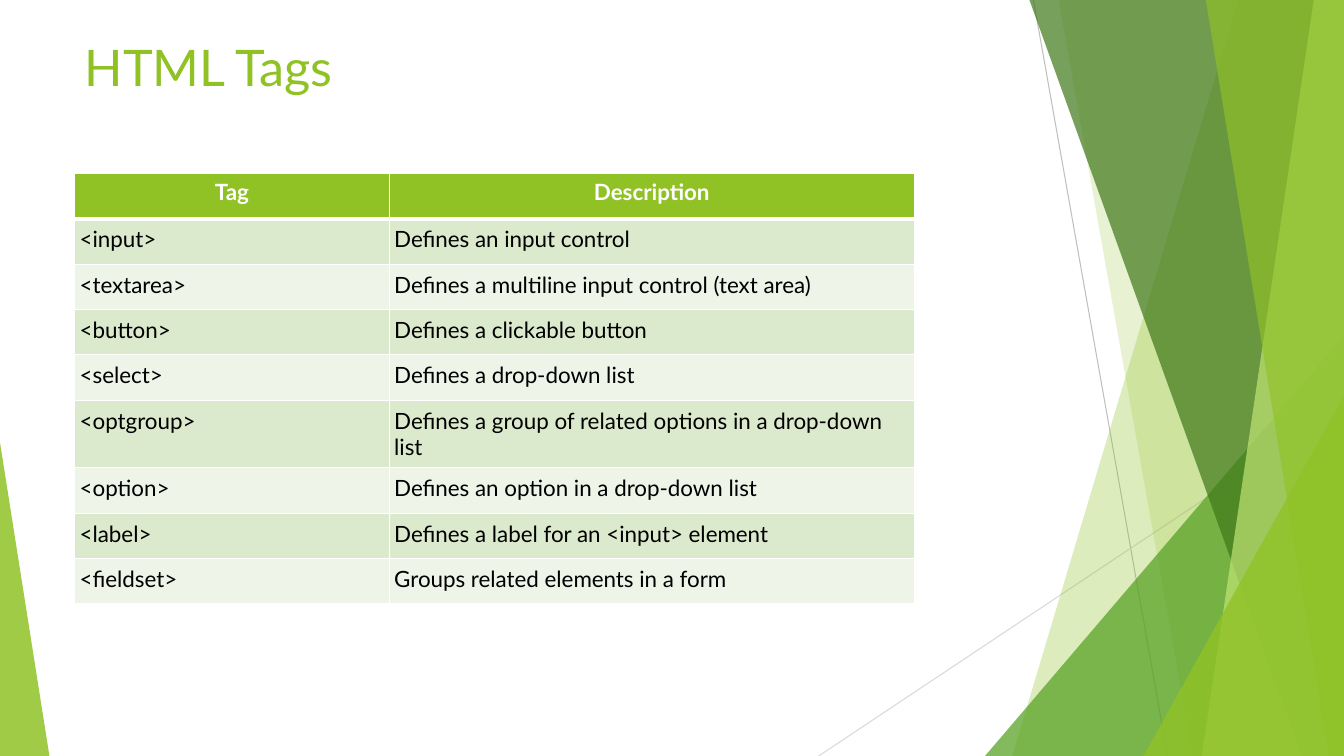
"""Build the HTML Tags slide: a two-column table beside overlapping green facets."""
from dataclasses import dataclass

from lxml.etree import SubElement
from pptx import Presentation
from pptx.dml.color import RGBColor
from pptx.enum.shapes import MSO_CONNECTOR, MSO_SHAPE
from pptx.enum.text import MSO_ANCHOR, PP_ALIGN
from pptx.oxml.ns import qn
from pptx.util import Inches, Pt

TITLE = "HTML Tags"
ROWS = [
    ("Tag", "Description"),
    ("<input>", "Defines an input control"),
    ("<textarea>", "Defines a multiline input control (text area)"),
    ("<button>", "Defines a clickable button"),
    ("<select>", "Defines a drop-down list"),
    ("<optgroup>", "Defines a group of related options in a drop-down list"),
    ("<option>", "Defines an option in a drop-down list"),
    ("<label>", "Defines a label for an <input> element"),
    ("<fieldset>", "Groups related elements in a form"),
]


@dataclass(frozen=True)
class Theme:
    font: str = "Lato"
    title_size: int = 36
    table_size: int = 16
    accent: str = "90C226"
    leaf: str = "54A021"
    forest: str = "3F7819"
    lime: str = "C0E474"
    bands: tuple = ("EEF4E8", "DBE9CD")
    white: str = "FFFFFF"
    black: str = "000000"
    greys: tuple = ("BFBFBF", "D9D9D9")


T = Theme()
W, H = 13.33, 7.5
LEFT, TABLE_TOP, ROW_H = 0.74, 1.72, 0.45
COLS = (3.12, 5.21)

RAYS = [((10.25, 0), (11.58, H)), ((W, 4.03), (8.12, H))]
FACETS = [
    ("band", 12.28, 10.04, T.accent, 30),
    ("band", 10.5, 11.83, T.accent, 20),
    ("corner", 9.77, 3.33, T.leaf, 72),
    ("band", 10.21, 12.91, T.forest, 70),
    ("band", 13.03, 11.92, T.lime, 70),
    ("band", 11.96, 13.18, T.accent, 65),
    ("corner", 11.34, 3.93, T.accent, 80),
]


def rgb(color):
    return RGBColor.from_string(color)


def paint(sp, color, opacity):
    sp.shadow.inherit = False
    sp.line.fill.background()
    sp.fill.solid()
    sp.fill.fore_color.rgb = rgb(color)
    clr = sp.fill._xPr.find(qn("a:solidFill"))[0]
    SubElement(clr, qn("a:alpha"), val=str(opacity * 1000))


def add_ray(s, start, end, color):
    ray = s.shapes.add_connector(MSO_CONNECTOR.STRAIGHT, *map(Inches, start + end))
    ray.line.color.rgb = rgb(color)
    ray.line.width = Pt(0.75)
    SubElement(ray._element.spPr, qn("a:effectLst"))


def add_band(s, top_x, bottom_x, color, opacity):
    fb = s.shapes.build_freeform(Inches(top_x), 0)
    corners = [(W, 0), (W, H), (bottom_x, H)]
    fb.add_line_segments([(Inches(x), Inches(y)) for x, y in corners])
    paint(fb.convert_to_shape(), color, opacity)


def add_corner(s, left, top, right, apex, color, opacity):
    box = map(Inches, (left, top, right - left, H - top))
    sp = s.shapes.add_shape(MSO_SHAPE.ISOSCELES_TRIANGLE, *box)
    sp.adjustments[0] = apex
    paint(sp, color, opacity)


def add_facets(s):
    for (start, end), grey in zip(RAYS, T.greys):
        add_ray(s, start, end, grey)
    for kind, a, b, color, opacity in FACETS:
        if kind == "band":
            add_band(s, a, b, color, opacity)
        else:
            add_corner(s, a, b, W, 1, color, opacity)
    add_corner(s, 0, 4.39, 0.49, 0, T.accent, 85)


def add_borders(cell, bottom):
    tcPr = cell._tc.get_or_add_tcPr()
    for i, (side, width) in enumerate(zip("LRTB", (1, 1, 1, bottom))):
        ln = SubElement(tcPr, qn(f"a:ln{side}"), w=str(Pt(width)))
        fill = SubElement(ln, qn("a:solidFill"))
        SubElement(fill, qn("a:srgbClr"), val=T.white)
        tcPr.insert(i, ln)


def fill_cell(cell, text, row):
    header = row == 0
    cell.text = text
    cell.fill.solid()
    cell.fill.fore_color.rgb = rgb(T.accent if header else T.bands[row % 2])
    if not header:
        cell.margin_left = cell.margin_right = Inches(0.05)
        cell.margin_top = cell.margin_bottom = Inches(0.07)
    p = cell.text_frame.paragraphs[0]
    p.alignment = PP_ALIGN.CENTER if header else PP_ALIGN.LEFT
    p.font.name, p.font.size, p.font.bold = T.font, Pt(T.table_size), header
    p.font.color.rgb = rgb(T.white if header else T.black)
    add_borders(cell, 3 if header else 1)


def add_tag_table(s):
    box = map(Inches, (LEFT, TABLE_TOP, sum(COLS), ROW_H * len(ROWS)))
    table = s.shapes.add_table(len(ROWS), len(COLS), *box).table
    table.horz_banding = False
    for column, width in zip(table.columns, COLS):
        column.width = Inches(width)
    for r, texts in enumerate(ROWS):
        table.rows[r].height = Inches(ROW_H)
        for c, text in enumerate(texts):
            fill_cell(table.cell(r, c), text, r)


def set_title(s):
    sp = s.shapes.title
    sp.left, sp.top, sp.width, sp.height = map(Inches, (LEFT, 0.31, 9.4, 0.81))
    tf = sp.text_frame
    tf.text = TITLE
    tf.word_wrap = True
    tf.vertical_anchor = MSO_ANCHOR.TOP
    p = tf.paragraphs[0]
    p.alignment = PP_ALIGN.LEFT
    p.font.name, p.font.size = T.font, Pt(T.title_size)
    p.font.color.rgb = rgb(T.accent)


def main():
    prs = Presentation()
    prs.slide_width, prs.slide_height = Inches(W), Inches(H)
    s = prs.slides.add_slide(prs.slide_layouts[5])
    add_facets(s)
    set_title(s)
    add_tag_table(s)
    prs.save("out.pptx")


if __name__ == "__main__":
    main()
